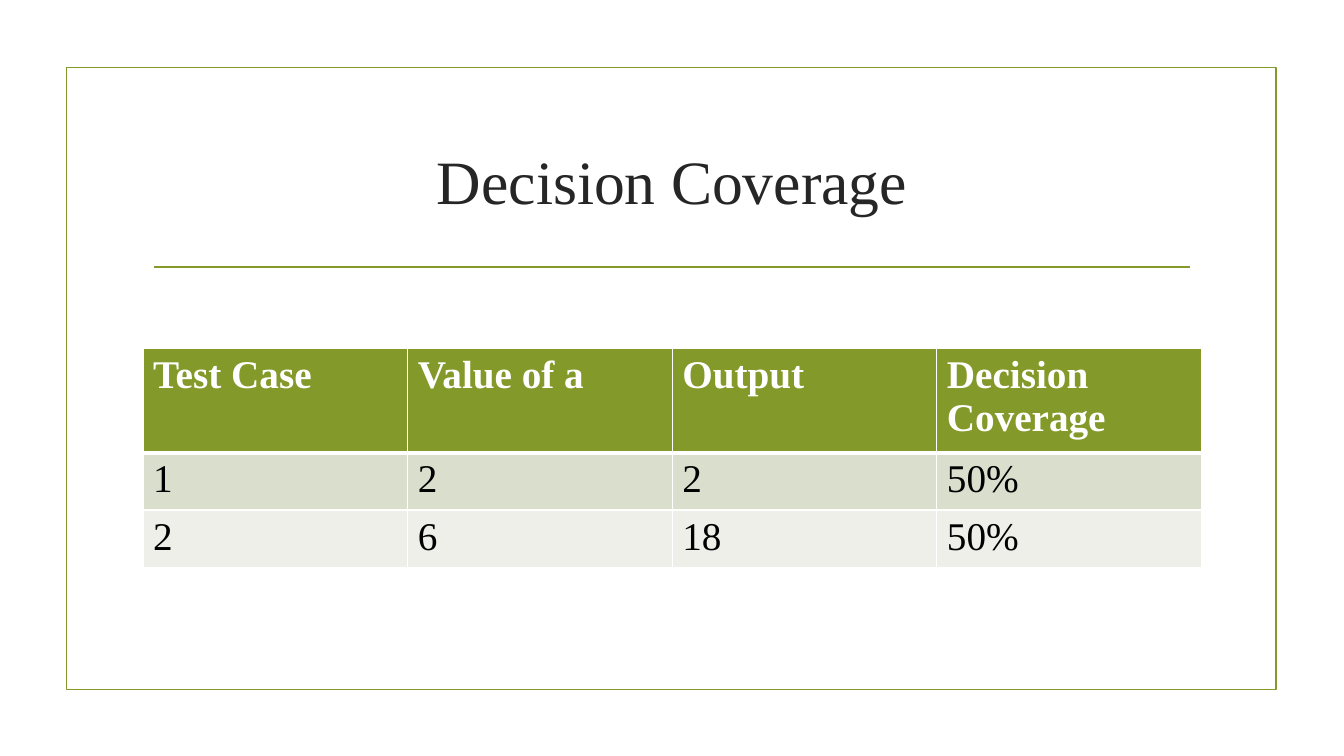
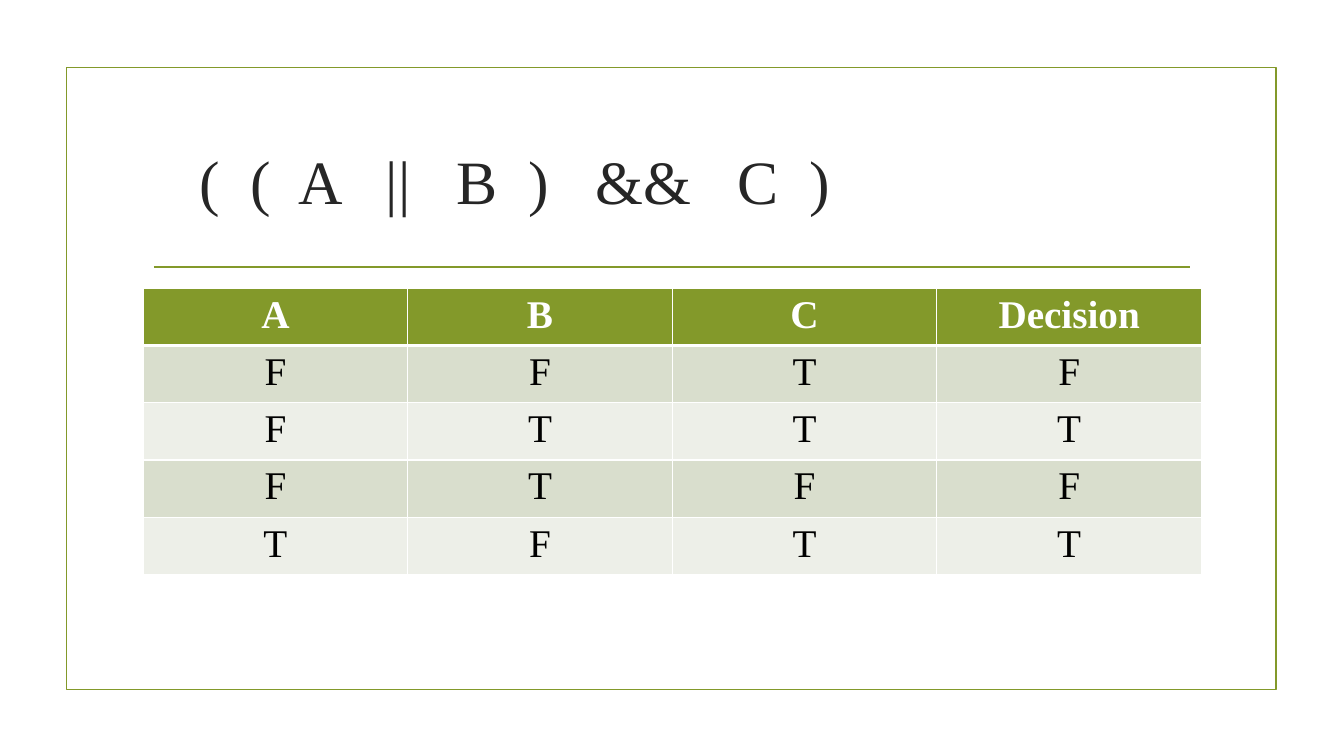
from dataclasses import dataclass

from lxml.etree import SubElement
from pptx import Presentation
from pptx.dml.color import RGBColor
from pptx.enum.shapes import MSO_CONNECTOR, MSO_SHAPE
from pptx.enum.text import MSO_ANCHOR, PP_ALIGN
from pptx.oxml.ns import qn
from pptx.slide import Slide
from pptx.table import _Cell
from pptx.text.text import _Paragraph
from pptx.util import Pt

FONT = "Times New Roman"
GREEN, WHITE, BLACK, INK = "83992A", "FFFFFF", "000000", "262626"
BANDS = ("D9DECD", "EDEFE8")
LEFT, WIDTH = 102.25, 756
ROW = 38


@dataclass
class Page:
    title: str
    align: PP_ALIGN
    indent: float
    top: float
    head: float
    cells: PP_ALIGN
    rows: list[str]


PAGES = [
    Page("Decision Coverage", PP_ALIGN.CENTER, 0, 249, 68, PP_ALIGN.LEFT,
         ["Test Case|Value of a|Output|Decision Coverage",
          "1|2|2|50%", "2|6|18|50%"]),
    Page("(  (  A   ||   B  )   &&   C  )", PP_ALIGN.LEFT, 33, 206, ROW,
         PP_ALIGN.CENTER,
         ["A|B|C|Decision", "F|F|T|F", "F|T|T|T", "F|T|F|F", "T|F|T|T"]),
]


def color(code: str) -> RGBColor:
    return RGBColor.from_string(code)


def style(para: _Paragraph, size: float, code: str, align: PP_ALIGN,
          bold: bool = False) -> None:
    para.alignment = align
    font = para.font
    font.name, font.size, font.bold = FONT, Pt(size), bold
    font.color.rgb = color(code)


def frame(slide: Slide) -> None:
    """Draw the border and the rule under the title."""
    box = slide.shapes.add_shape(
        MSO_SHAPE.RECTANGLE, Pt(47.5), Pt(48.25), Pt(864), Pt(444.25))
    box.shadow.inherit = False
    box.fill.background()
    rule = slide.shapes.add_connector(
        MSO_CONNECTOR.STRAIGHT, Pt(110), Pt(190.75), Pt(850.25), Pt(190.75))
    SubElement(rule._element.spPr, qn("a:effectLst"))
    for shape in (box, rule):
        shape.line.color.rgb = color(GREEN)
        shape.line.width = Pt(1.25)


def title(slide: Slide, page: Page) -> None:
    box = slide.shapes.add_textbox(Pt(LEFT), Pt(77), Pt(WIDTH), Pt(103))
    text = box.text_frame
    text.word_wrap = True
    text.vertical_anchor = MSO_ANCHOR.MIDDLE
    text.margin_left = Pt(7.2 + page.indent)
    para = text.paragraphs[0]
    para.text = page.title
    style(para, 44, INK, page.align)


def border(cell: _Cell, row: int) -> None:
    """Edge a cell in white, with a thick line below the header."""
    edges = {"lnL": 1, "lnR": 1, "lnT": 3 if row == 1 else 1,
             "lnB": 3 if row == 0 else 1}
    props = cell._tc.get_or_add_tcPr()
    for tag, width in edges.items():
        line = SubElement(props, qn(f"a:{tag}"), w=str(Pt(width)))
        fill = SubElement(line, qn("a:solidFill"))
        SubElement(fill, qn("a:srgbClr"), val=WHITE)


def grid(slide: Slide, page: Page) -> None:
    rows = [row.split("|") for row in page.rows]
    high = page.head + ROW * (len(rows) - 1)
    table = slide.shapes.add_table(
        len(rows), len(rows[0]), Pt(LEFT), Pt(page.top), Pt(WIDTH),
        Pt(high)).table
    for i, row in enumerate(rows):
        table.rows[i].height = Pt(ROW if i else page.head)
        for j, word in enumerate(row):
            cell = table.cell(i, j)
            border(cell, i)
            cell.fill.solid()
            cell.fill.fore_color.rgb = color(BANDS[(i - 1) % 2] if i else GREEN)
            cell.text = word
            style(cell.text_frame.paragraphs[0], 28, BLACK if i else WHITE,
                  page.cells, bold=i == 0)


def main() -> None:
    deck = Presentation()
    deck.slide_width, deck.slide_height = Pt(960), Pt(540)
    for page in PAGES:
        slide = deck.slides.add_slide(deck.slide_layouts[6])
        frame(slide)
        title(slide, page)
        grid(slide, page)
    deck.save("out.pptx")


if __name__ == "__main__":
    main()
